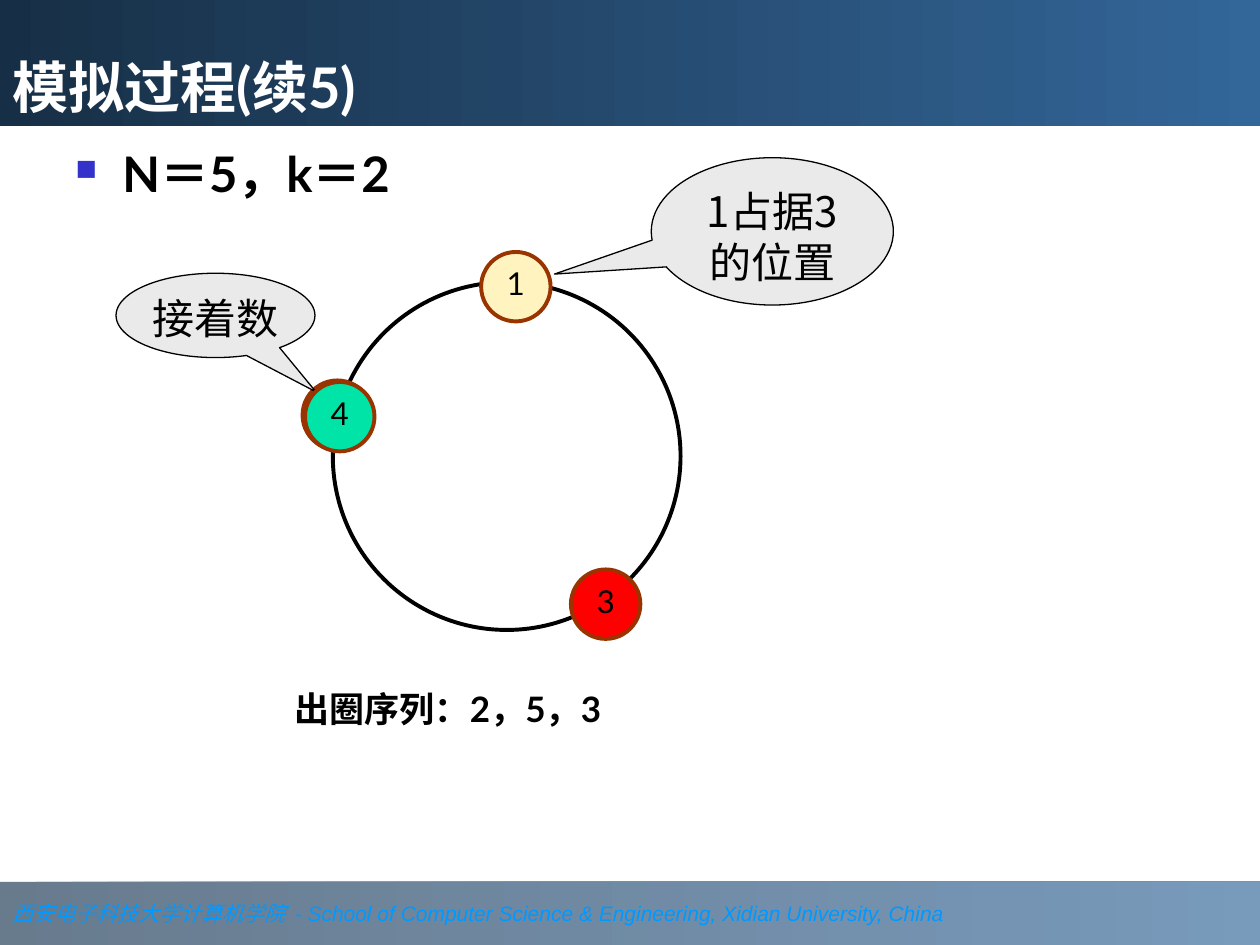
from lxml import etree
from pptx import Presentation
from pptx import util as u
from pptx.dml.color import RGBColor
from pptx.enum import shapes, text
from pptx.oxml.ns import qn

COLORS = {
    "black": "000000", "white": "FFFFFF", "navy": "172F46", "deep": "1B3753",
    "blue": "336699", "sky": "0099FF", "bullet": "3333CC", "brown": "993300",
    "red": "FF0000", "green": "00E4A8", "cream": "FFF3BF", "grey": "EAEAEA",
}
LATIN, CJK = "Lato", "Noto Sans CJK SC"
ALIGN, ANCHOR = text.PP_ALIGN, text.MSO_ANCHOR
NODE_SIZE = 1.4


def rgb(name):
    return RGBColor.from_string(COLORS[name])


class SlideBuilder:
    def __init__(self, slide):
        self.shapes = slide.shapes

    def shape(self, kind, box, fill=None, line=None, width=2.25):
        item = self.shapes.add_shape(kind, *map(u.Cm, box))
        item.shadow.inherit = False
        if fill:
            item.fill.solid()
            item.fill.fore_color.rgb = rgb(fill)
        else:
            item.fill.background()
        if line:
            item.line.color.rgb = rgb(line)
            item.line.width = u.Pt(width)
        else:
            item.line.fill.background()
        return item

    def band(self, box, left, right, opacity=100):
        band = self.shape(shapes.MSO_SHAPE.RECTANGLE, box)
        band.fill.gradient()
        band.fill.gradient_angle = 0
        for stop, color in zip(band.fill.gradient_stops, (left, right)):
            stop.color.rgb = rgb(color)
        if opacity < 100:
            for color in band._element.spPr.iter(qn("a:srgbClr")):
                etree.SubElement(color, qn("a:alpha"), val=str(opacity * 1000))
        return band

    def fill_text(self, item, runs, size, color="black", font=LATIN,
                  bold=False, italic=False, align=ALIGN.LEFT,
                  anchor=ANCHOR.TOP, wrap=True, spacing=None, side=0.25,
                  bullet=None):
        frame = item.text_frame
        frame.word_wrap = wrap
        frame.vertical_anchor = anchor
        frame.margin_left = frame.margin_right = u.Cm(side)
        frame.margin_top = frame.margin_bottom = u.Cm(0.13)
        paragraph = frame.paragraphs[0]
        for words, run_font in runs:
            run = paragraph.add_run()
            run.text = words
            if run_font:
                run.font.name = run_font
        paragraph.alignment = align
        if spacing:
            paragraph.line_spacing = spacing
        if bullet:
            self.bullet(paragraph, bullet)
        style = paragraph.font
        style.size, style.bold, style.italic = u.Pt(size), bold, italic
        style.color.rgb = rgb(color)
        style.name = font
        defaults = paragraph._p.pPr.find(qn("a:defRPr"))
        etree.SubElement(defaults, qn("a:ea"), typeface=CJK)

    def bullet(self, paragraph, color):
        props = paragraph._p.get_or_add_pPr()
        indent = u.Cm(0.95)
        props.set("marL", str(indent))
        props.set("indent", str(-indent))
        tint = etree.SubElement(props, qn("a:buClr"))
        etree.SubElement(tint, qn("a:srgbClr"), val=COLORS[color])
        etree.SubElement(props, qn("a:buSzPct"), val="60000")
        etree.SubElement(props, qn("a:buChar"), char="■")

    def label(self, box, words, size, **style):
        self.fill_text(self.shapes.add_textbox(*map(u.Cm, box)),
                       [(words, None)], size, bold=True, **style)

    def node(self, left, top, fill, number=None):
        node = self.shape(shapes.MSO_SHAPE.OVAL,
                          (left, top, NODE_SIZE, NODE_SIZE), fill, "brown")
        if number:
            self.fill_text(node, [(number, None)], 18, align=ALIGN.CENTER,
                           anchor=ANCHOR.MIDDLE, wrap=False, spacing=0.8)

    def callout(self, box, pointer, words, side):
        callout = self.shape(shapes.MSO_SHAPE.OVAL_CALLOUT, box, "grey",
                             "black", 0.75)
        callout.adjustments[0], callout.adjustments[1] = pointer
        self.fill_text(callout, [(words, None)], 24, font=CJK,
                       align=ALIGN.CENTER, side=side)


def main():
    deck = Presentation()
    deck.slide_width, deck.slide_height = u.Cm(25.4), u.Cm(19.05)
    page = SlideBuilder(deck.slides.add_slide(deck.slide_layouts[6]))

    # Footer and title bands
    footer = page.band((0, 17.78, 25.4, 1.27), "deep", "blue", opacity=66)
    page.fill_text(footer, [
        ("西安电子科技大学计算机学院  ", "Times New Roman"),
        ("- School of Computer Science & Engineering, Xidian University, China",
         "Arial"),
    ], 12, "sky", font="Arial", italic=True, anchor=ANCHOR.MIDDLE, wrap=False)
    title = page.band((0, 0, 25.4, 2.54), "navy", "blue")
    page.fill_text(title, [("模拟过程(续5)", None)], 32, "white", bold=True,
                   anchor=ANCHOR.BOTTOM)

    # Parameters of the simulation
    page.label((1.27, 2.77, 22.86, 2.34), "N＝5，k＝2", 28, bullet="bullet")

    # Circle with the remaining people
    page.shape(shapes.MSO_SHAPE.OVAL, (6.71, 5.69, 7.01, 7.01), line="black")
    page.node(11.51, 11.48, "red", "3")
    page.node(6.1, 7.67, "white")
    page.label((5.69, 13.89, 9.19, 0.94), "出圈序列：2，5，3", 20, spacing=0.8)

    # Remarks, each drawn with the node it points at
    page.callout((2.34, 5.51, 4.01, 1.7), (0.505, 0.906), "接着数", 0)
    page.node(6.15, 7.7, "green", "4")
    page.node(9.7, 5.08, "cream", "1")
    page.callout((13.13, 3.18, 4.88, 2.97), (-0.9, 0.29), "1占据3的位置",
                 0.05)

    deck.save("out.pptx")


if __name__ == "__main__":
    main()
